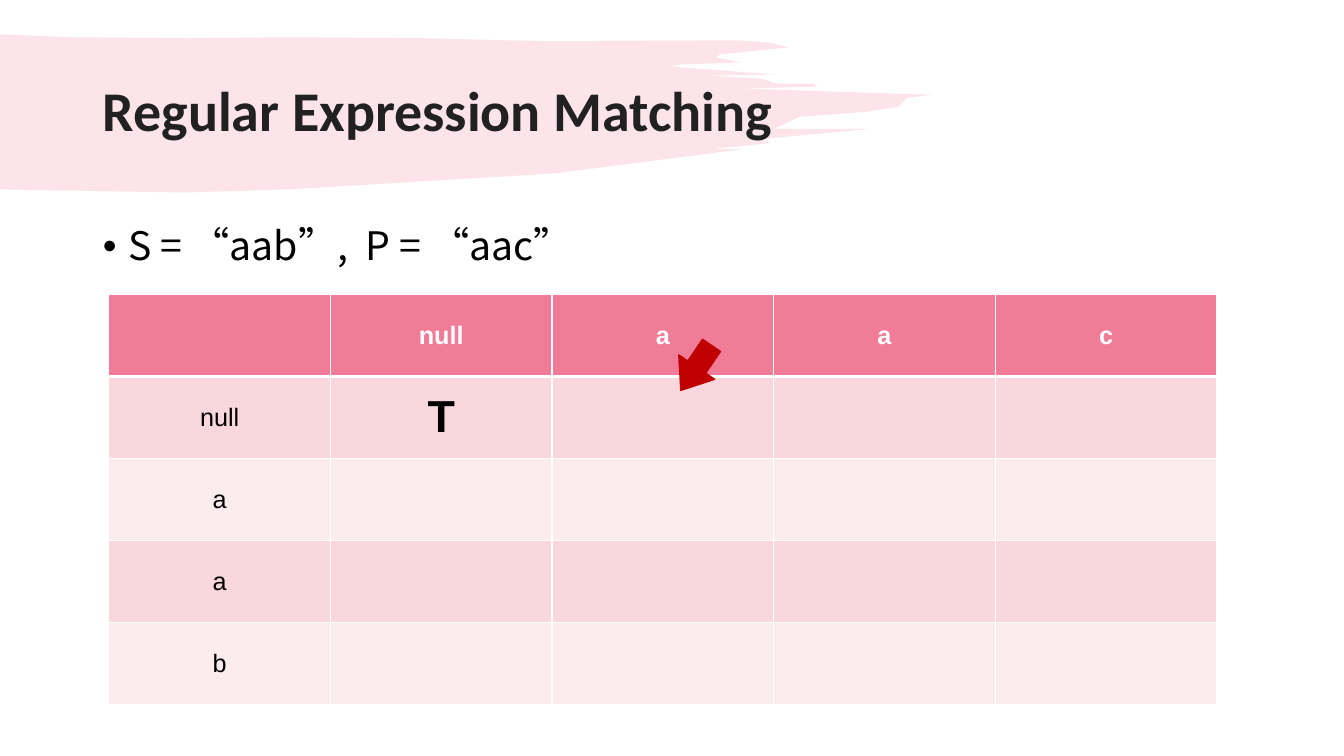
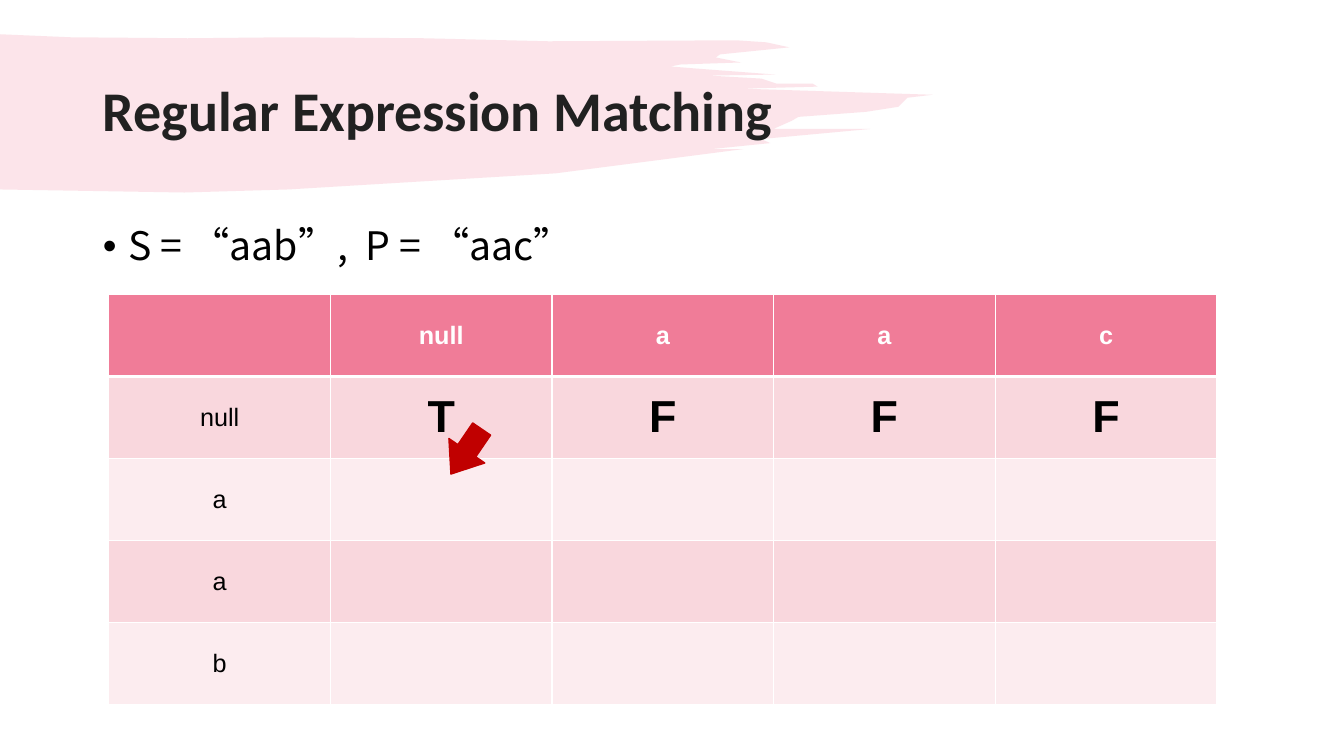
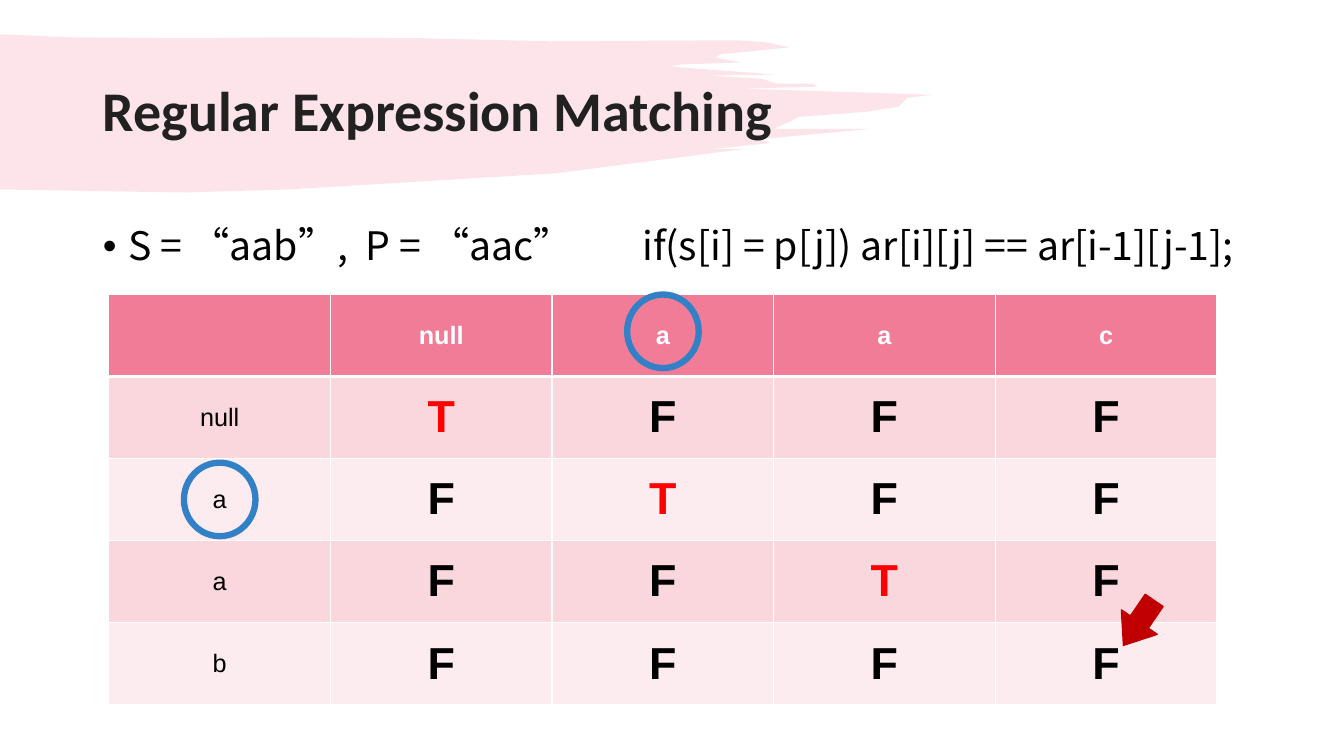
import lxml.etree
import pptx
import pptx.dml.color
import pptx.enum.shapes
import pptx.enum.text
import pptx.oxml.ns
import pptx.util

Inches = pptx.util.Inches
Pt = pptx.util.Pt
qn = pptx.oxml.ns.qn

COLORS = {
    "pink": "F07C98",
    "band_dark": "F9D7DD",
    "band_light": "FCECEF",
    "title": "212121",
    "text": "000000",
    "white": "FFFFFF",
    "match": "FF0000",
    "arrow": "C00000",
    "ring": "3280C6",
}
TITLE_BOX = (0.92, 0.4, 11.5, 1.45)
BODY_BOX = (0.92, 2.2, 11.5, 4.55)
TABLE_BOX = (1.08, 2.92, 10.99, 4.07)
BRUSH_BOX = (0, 0.34, 9.25, 1.57)
BODY_TABS = (2.61, 5.35)
PATTERN = ("", "null", "a", "a", "c")
STRING = ("null", "a", "a", "b")
STRINGS = "S = “aab”,\tP = “aac”"
RULE = "\tif(s[i] = p[j]) ar[i][j] == ar[i-1][j-1];"

BRUSH_EDGE = (
    (0.7, 0.03), (1.86, 0.04), (2.85, 0.03), (4.21, 0.04), (5.44, 0.07),
    (7.3, 0.06), (7.6, 0.08), (7.83, 0.13), (7.14, 0.2), (7.1, 0.23), (7.35, 0.28),
    (6.75, 0.3), (6.65, 0.32), (6.9, 0.34), (7.69, 0.4), (7.03, 0.41),
    (7.55, 0.44), (7.7, 0.49), (8.06, 0.49), (8.11, 0.52), (7.36, 0.54),
    (9.25, 0.6), (9, 0.63), (8.91, 0.72), (8.59, 0.77), (7.92, 0.82),
    (7.85, 0.86), (7.67, 0.94), (8.63, 0.94), (7.55, 1.04), (7.64, 1.08),
    (7.05, 1.14), (7.37, 1.14), (5.51, 1.38), (2.86, 1.54), (1.83, 1.57), (0, 1.54),
)


def rgb(name):
    return pptx.dml.color.RGBColor.from_string(COLORS[name])


def place(part, box):
    part.left, part.top, part.width, part.height = map(Inches, box)


def add_run(paragraph, text, font, size, color, bold=False):
    run = paragraph.add_run()
    run.text = text
    run.font.name = font
    run.font.size = Pt(size)
    run.font.bold = bold
    run.font.color.rgb = rgb(color)
    lxml.etree.SubElement(run.font._element, qn("a:ea"), typeface=font)


def add_brush_band(layout, slide, box):
    builder = slide.shapes.build_freeform(0, 0)
    builder.add_line_segments([(Inches(x), Inches(y)) for x, y in BRUSH_EDGE])
    brush = builder.convert_to_shape(Inches(box[0]), Inches(box[1]))
    place(brush, box)
    brush.shadow.inherit = False
    brush.line.fill.background()
    brush.fill.solid()
    brush.fill.fore_color.rgb = rgb("pink")
    tint = brush._element.spPr.find(qn("a:solidFill"))[0]
    lxml.etree.SubElement(tint, qn("a:alpha"), val="20000")
    layout.shapes._spTree.insert(2, brush._element)


def fill_title(title, text):
    title.text_frame.vertical_anchor = pptx.enum.text.MSO_ANCHOR.MIDDLE
    title.text_frame.auto_size = pptx.enum.text.MSO_AUTO_SIZE.NONE
    heading = title.text_frame.paragraphs[0]
    heading.alignment = pptx.enum.text.PP_ALIGN.LEFT
    heading.line_spacing = 0.9
    add_run(heading, text, "Calibri", 40, "title", True)


def fill_body(body, text):
    body.text_frame.auto_size = pptx.enum.text.MSO_AUTO_SIZE.NONE
    bullet = body.text_frame.paragraphs[0]
    properties = bullet._p.get_or_add_pPr()
    properties.set("marL", str(Inches(0.25)))
    properties.set("indent", str(-Inches(0.25)))
    lxml.etree.SubElement(properties, qn("a:buFont"), typeface="Arial")
    lxml.etree.SubElement(properties, qn("a:buChar"), char="•")
    tabs = lxml.etree.SubElement(properties, qn("a:tabLst"))
    for position in BODY_TABS:
        lxml.etree.SubElement(tabs, qn("a:tab"), pos=str(Inches(position)), algn="l")
    bullet.space_before = Pt(0)
    bullet.line_spacing = 0.9
    add_run(bullet, text, "Noto Sans CJK TC", 28, "text")


def set_borders(cell, row):
    properties = cell._tc.get_or_add_tcPr()
    widths = {"lnL": 1, "lnR": 1, "lnT": 3 if row == 1 else 1, "lnB": 3 if row == 0 else 1}
    for side, width in widths.items():
        border = lxml.etree.SubElement(properties, qn("a:" + side), w=str(Pt(width)))
        paint = lxml.etree.SubElement(border, qn("a:solidFill"))
        lxml.etree.SubElement(paint, qn("a:srgbClr"), val=COLORS["white"])


def add_match_table(slide, box, results, match_color):
    rows = [PATTERN]
    for index, label in enumerate(STRING):
        found = results[index] if index < len(results) else ""
        rows.append((label, *found.ljust(len(PATTERN) - 1)))
    grid = slide.shapes.add_table(len(rows), len(PATTERN), *map(Inches, box)).table
    for r, row in enumerate(rows):
        band = "pink" if r == 0 else ("band_dark" if r % 2 else "band_light")
        for c, text in enumerate(row):
            cell = grid.cell(r, c)
            set_borders(cell, r)
            cell.fill.solid()
            cell.fill.fore_color.rgb = rgb(band)
            cell.vertical_anchor = pptx.enum.text.MSO_ANCHOR.MIDDLE
            paragraph = cell.text_frame.paragraphs[0]
            paragraph.alignment = pptx.enum.text.PP_ALIGN.CENTER
            if not text.strip():
                continue
            if r == 0:
                add_run(paragraph, text, "Arial", 18, "white", True)
            elif c == 0:
                add_run(paragraph, text, "Arial", 18, "text")
            else:
                color = match_color if text == "T" else "text"
                add_run(paragraph, text, "Arial", 32, color, True)


def add_marker(slide, preset, box, color, line_width):
    marker = slide.shapes.add_shape(preset, *map(Inches, box))
    marker.shadow.inherit = False
    marker.line.color.rgb = rgb(color)
    marker.line.width = Pt(line_width)
    return marker


def add_step_arrow(slide, box, offset):
    area = (box[0] + offset[0], box[1] + offset[1], 0.43, 0.54)
    arrow = add_marker(slide, pptx.enum.shapes.MSO_SHAPE.DOWN_ARROW, area, "arrow", 1)
    arrow.fill.solid()
    arrow.fill.fore_color.rgb = rgb("arrow")
    arrow.adjustments[0] = 0.5
    arrow.adjustments[1] = 0.65
    arrow.rotation = 34.3


def add_ring(slide, box, row, column, lift):
    width, height = 0.71, 0.73
    left = box[0] + (column + 0.5) * box[2] / len(PATTERN) - width / 2
    top = box[1] + (row + 0.5) * box[3] / (len(STRING) + 1) - height / 2 - lift
    ring = add_marker(slide, pptx.enum.shapes.MSO_SHAPE.OVAL,
                      (left, top, width, height), "ring", 4.5)
    ring.fill.background()


def add_matching_slide(deck, layout, results, arrow_offset, rule="",
                       match_color="text", rings=()):
    slide = deck.slides.add_slide(layout)
    fill_title(slide.shapes.title, "Regular Expression Matching")
    fill_body(slide.placeholders[1], STRINGS + rule)
    add_match_table(slide, TABLE_BOX, results, match_color)
    for row, column, lift in rings:
        add_ring(slide, TABLE_BOX, row, column, lift)
    add_step_arrow(slide, TABLE_BOX, arrow_offset)
    return slide


def main():
    deck = pptx.Presentation()
    deck.slide_width, deck.slide_height = Inches(13.33), Inches(7.5)
    layout = deck.slide_layouts[1]
    place(layout.placeholders[0], TITLE_BOX)
    place(layout.placeholders[1], BODY_BOX)
    first = add_matching_slide(deck, layout, ["T"], (5.61, 0.46))
    add_brush_band(layout, first, BRUSH_BOX)
    add_matching_slide(deck, layout, ["TFFF"], (3.33, 1.29))
    add_matching_slide(deck, layout, ["TFFF", "FTFF", "FFTF", "FFFF"], (10, 2.99),
                       RULE, "match", ((2, 0, 0), (0, 2, 0.04)))
    deck.save("out.pptx")


if __name__ == "__main__":
    main()
